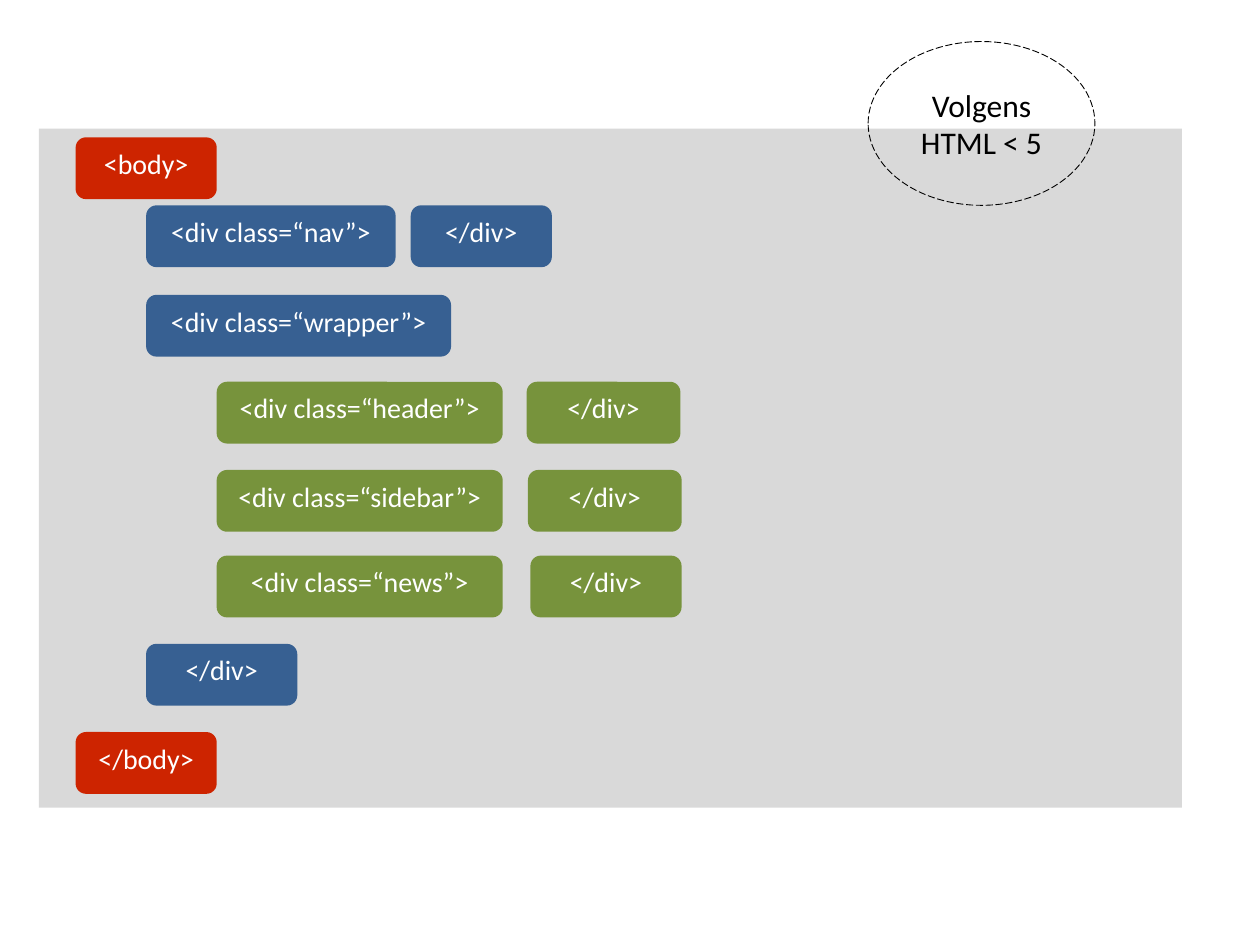
from pptx import Presentation
from pptx.dml.color import RGBColor
from pptx.enum.dml import MSO_LINE
from pptx.enum.shapes import MSO_SHAPE
from pptx.enum.text import MSO_ANCHOR, PP_ALIGN
from pptx.util import Inches, Pt

RECT = MSO_SHAPE.RECTANGLE
ROUND = MSO_SHAPE.ROUNDED_RECTANGLE
OVAL = MSO_SHAPE.OVAL
DASH = MSO_LINE.LONG_DASH
TOP, MIDDLE = MSO_ANCHOR.TOP, MSO_ANCHOR.MIDDLE
CENTER = PP_ALIGN.CENTER

FONT = "Calibri"
COLORS = {
    "panel": "D9D9D9",
    "body": "CD2400",
    "outer": "376092",
    "inner": "77933C",
    "light": "FFFFFF",
    "dark": "000000",
}
EDGE, STEP = 0.6, 0.56  # left edge of the body tag, indent per level
TAG_H = 0.49
LEVELS = ["body", "outer", "inner"]

# nesting level, top, width, text
OPEN_TAGS = [
    (0, 1.09, 1.12, "<body>"),
    (1, 1.63, 1.98, "<div class=“nav”>"),
    (1, 2.34, 2.42, "<div class=“wrapper”>"),
    (2, 3.03, 2.27, "<div class=“header”>"),
    (2, 3.73, 2.27, "<div class=“sidebar”>"),
    (2, 4.41, 2.27, "<div class=“news”>"),
    (1, 5.11, 1.2, "</div>"),
    (0, 5.81, 1.12, "</body>"),
]
# nesting level, left, top, width of the end tags on the same row
END_TAGS = [
    (1, 3.26, 1.63, 1.12),
    (2, 4.18, 3.03, 1.22),
    (2, 4.19, 3.73, 1.22),
    (2, 4.21, 4.41, 1.2),
]


def rgb(name):
    return RGBColor.from_string(COLORS[name])


def add_box(slide, kind, box, fill=None):
    """Add a flat shape without outline; no fill name means no fill."""
    shape = slide.shapes.add_shape(kind, *map(Inches, box))
    shape.shadow.inherit = False
    shape.line.fill.background()
    if fill:
        shape.fill.solid()
        shape.fill.fore_color.rgb = rgb(fill)
    else:
        shape.fill.background()
    return shape


def write(shape, text, size, color, anchor):
    frame = shape.text_frame
    frame.word_wrap = True
    frame.vertical_anchor = anchor
    para = frame.paragraphs[0]
    para.alignment = CENTER
    run = para.add_run()
    run.text = text
    run.font.name = FONT
    run.font.size = Pt(size)
    run.font.color.rgb = rgb(color)


def add_tag(slide, level, left, top, width, text):
    tag = add_box(slide, ROUND, (left, top, width, TAG_H), LEVELS[level])
    write(tag, text, 16, "light", TOP)


def add_note(slide):
    note = add_box(slide, OVAL, (6.89, 0.33, 1.8, 1.3))
    note.line.color.rgb = rgb("dark")
    note.line.width = Pt(0.5)
    note.line.dash_style = DASH
    write(note, "Volgens HTML < 5", 18, "dark", MIDDLE)


def main():
    deck = Presentation()
    deck.slide_width, deck.slide_height = Inches(10), Inches(7.5)
    slide = deck.slides.add_slide(deck.slide_layouts[6])
    add_box(slide, RECT, (0.31, 1.02, 9.07, 5.39), "panel")
    for level, top, width, text in OPEN_TAGS:
        add_tag(slide, level, EDGE + level * STEP, top, width, text)
    for level, left, top, width in END_TAGS:
        add_tag(slide, level, left, top, width, "</div>")
    add_note(slide)
    deck.save("out.pptx")


if __name__ == "__main__":
    main()
